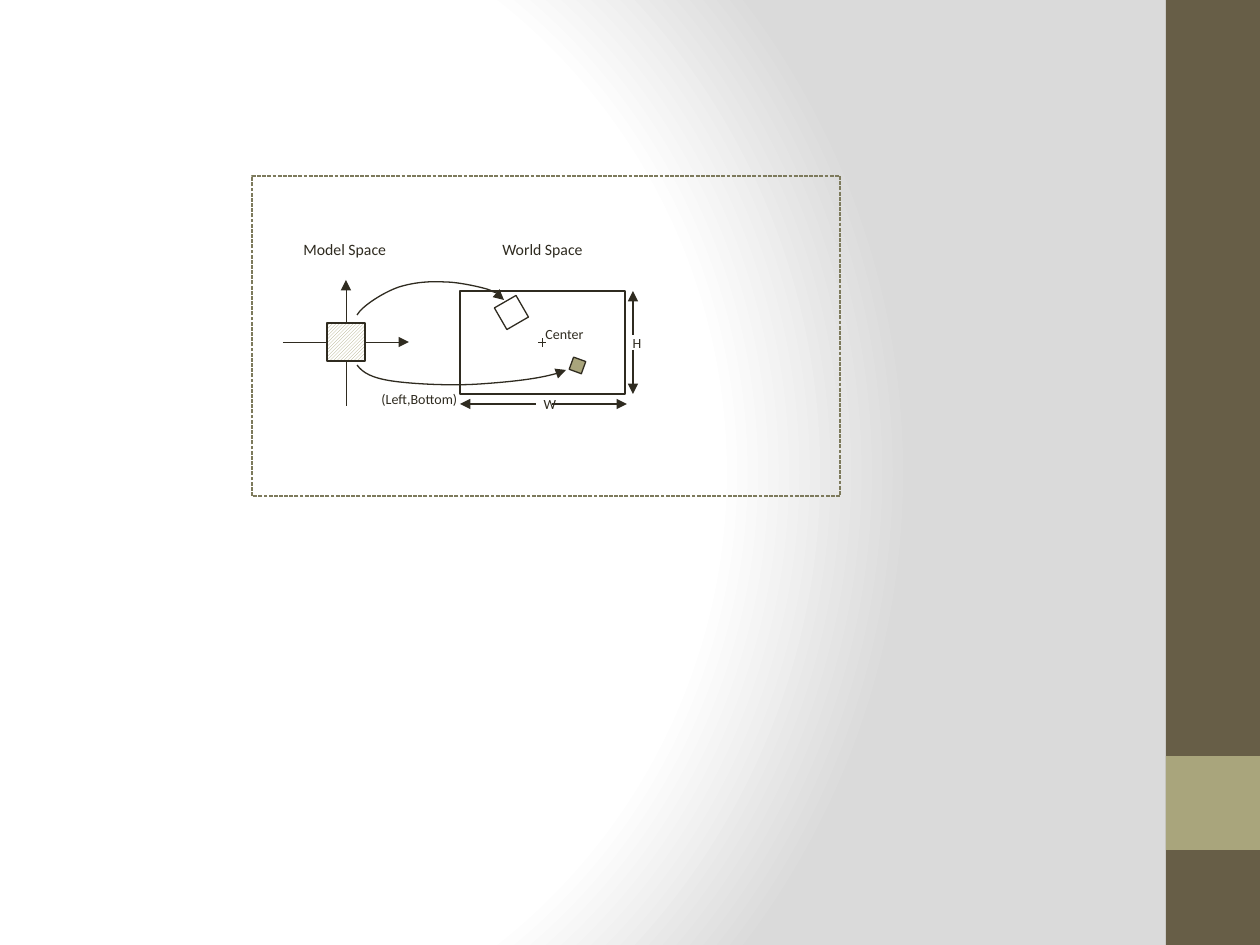
import lxml.etree
import pptx
import pptx.dml.color
import pptx.enum.dml
import pptx.enum.shapes
import pptx.enum.text
import pptx.oxml.ns
import pptx.util

PX = 914400 / 126
COLORS = {
    "ink": "2F2B20",
    "brown": "675E47",
    "olive": "A9A57C",
    "frame": "7D7A5C",
    "white": "FFFFFF",
    "gray": "DADADA",
}
qn = pptx.oxml.ns.qn


def px(value):
    return pptx.util.Emu(round(value * PX))


def color(name):
    return pptx.dml.color.RGBColor.from_string(COLORS[name])


def add_child(parent, tag, **attributes):
    return lxml.etree.SubElement(parent, qn(tag), attributes)


def set_line(shape, line="ink", width=0.75, arrow=False):
    shape.line.color.rgb = color(line)
    shape.line.width = pptx.util.Pt(width)
    if arrow:
        add_child(shape.element.spPr.find(qn("a:ln")), "a:tailEnd", type="triangle")


def add_rectangle(slide, box, fill=None, line="ink", rotation=0):
    shape = slide.shapes.add_shape(
        pptx.enum.shapes.MSO_SHAPE.RECTANGLE, *map(px, box))
    shape.shadow.inherit = False
    shape.rotation = rotation
    if fill:
        shape.fill.solid()
        shape.fill.fore_color.rgb = color(fill)
    else:
        shape.fill.background()
    if line:
        set_line(shape, line)
    else:
        shape.line.fill.background()
    return shape


def add_line(shapes, start, end, width=0.75, arrow=True):
    connector = shapes.add_connector(
        pptx.enum.shapes.MSO_CONNECTOR.STRAIGHT, *map(px, (*start, *end)))
    set_line(connector, width=width, arrow=arrow)
    add_child(connector.element.spPr, "a:effectLst")


def add_label(slide, text, box, size=8, centered=False):
    frame = slide.shapes.add_textbox(*map(px, box)).text_frame
    frame.word_wrap = True
    frame.auto_size = pptx.enum.text.MSO_AUTO_SIZE.SHAPE_TO_FIT_TEXT
    paragraph = frame.paragraphs[0]
    if centered:
        paragraph.alignment = pptx.enum.text.PP_ALIGN.CENTER
    run = paragraph.add_run()
    run.text = text
    run.font.name = "Calibri"
    run.font.size = pptx.util.Pt(size)
    run.font.color.rgb = color("ink")


def add_curve(slide, left, top, points):
    points = [(left + x, top + y) for x, y in points]
    builder = slide.shapes.build_freeform(*points[0], scale=PX)
    builder.add_line_segments(points[1:], close=False)
    shape = builder.convert_to_shape()
    segments = list(shape.element.iter(qn("a:lnTo")))
    for index in range(0, len(segments), 3):
        bezier = lxml.etree.Element(qn("a:cubicBezTo"))
        segments[index].addprevious(bezier)
        for segment in segments[index:index + 3]:
            bezier.append(segment[0])
            segment.getparent().remove(segment)
    shape.shadow.inherit = False
    shape.fill.background()
    set_line(shape, arrow=True)


def add_background(slide):
    slide.background.fill.gradient()
    gradient = slide.element.find(".//" + qn("a:gradFill"))
    for child in list(gradient):
        gradient.remove(child)
    stops = add_child(gradient, "a:gsLst")
    for position, name in ((0, "white"), (75, "white"), (100, "gray")):
        stop = add_child(stops, "a:gs", pos=str(position * 1000))
        add_child(stop, "a:srgbClr", val=COLORS[name])
    circle = add_child(gradient, "a:path", path="circle")
    add_child(circle, "a:fillToRect", l="20000", t="50000", r="100000", b="50000")


def add_sidebar(slide, left, top, width, height):
    add_rectangle(slide, (left, top, width, height), "brown", None)
    add_rectangle(slide, (left, top + 756, width, width), "olive", None)


def add_frame(slide, *box):
    frame = add_rectangle(slide, box, line="frame")
    frame.line.dash_style = pptx.enum.dml.MSO_LINE.SQUARE_DOT


def add_world_space(slide, left, top, width, height):
    right, bottom = left + width, top + height
    center_x, center_y = left + width / 2, top + height / 2
    add_label(slide, "World Space", (left + 30, top - 57, 116, 32), 9)
    add_rectangle(slide, (left, top, width, height))
    cross = slide.shapes.add_group_shape().shapes
    for dx, dy in ((4, 0), (0, 4)):
        add_line(cross, (center_x - dx, center_y - dy),
                 (center_x + dx, center_y + dy), 0.5, False)
    add_rectangle(slide, (left + 39, top + 9, 25, 25), rotation=-30)
    add_rectangle(slide, (left + 111, top + 68, 13, 13), "olive", rotation=20)
    add_label(slide, "Center", (left + 73, top + 28, 66, 30))
    add_label(slide, "(Left,Bottom)", (left - 91, top + 93, 108, 30))
    height_x, width_y = right + 8, bottom + 10
    add_line(slide.shapes, (height_x, top + 59), (height_x, bottom))
    add_line(slide.shapes, (height_x, top + 44), (height_x, top))
    add_label(slide, "H", (height_x - 12, top + 37, 24, 30), centered=True)
    add_line(slide.shapes, (left + 92, width_y), (right + 2, width_y))
    add_line(slide.shapes, (left + 76, width_y), (left, width_y))
    add_label(slide, "W", (left + 72, width_y - 15, 24, 30), centered=True)


def add_model_space(slide, left, top, width, height):
    center_x, center_y = left + width // 2, top + height // 2 - 1
    axes = slide.shapes.add_group_shape().shapes
    add_line(axes, (center_x, top + height), (center_x, top), 0.5)
    add_line(axes, (left, center_y), (left + width, center_y), 0.5)
    square = add_rectangle(slide, (center_x - 19, center_y - 19, 38, 38))
    square.fill.patterned()
    square.fill.pattern = pptx.enum.dml.MSO_PATTERN.DARK_UPWARD_DIAGONAL
    square.fill.fore_color.rgb = color("olive")
    square.fill.back_color.rgb = color("white")
    add_label(slide, "Model Space", (left + 8, top - 46, 117, 32), 9)


def add_mappings(slide, left, top):
    add_curve(slide, left, top, [
        (0, 34), (5, 25), (27, 11), (42, 6), (58, 1), (74, 0), (89, 1),
        (104, 1), (137, 9), (134, 10), (143, 13), (146, 18), (147, 19)])
    add_curve(slide, left, top, [
        (0, 84), (6, 92), (15, 97), (35, 100), (55, 103), (94, 105), (123, 103),
        (152, 101), (192, 97), (209, 89)])


def main():
    presentation = pptx.Presentation()
    presentation.slide_width = px(1260)
    presentation.slide_height = px(945)
    slide = presentation.slides.add_slide(presentation.slide_layouts[6])
    add_background(slide)
    add_sidebar(slide, 1166, 0, 94, 945)
    add_frame(slide, 252, 176, 588, 320)
    add_world_space(slide, 460, 291, 165, 103)
    add_model_space(slide, 283, 280, 126, 126)
    add_mappings(slide, 357, 281)
    presentation.save("out.pptx")


if __name__ == "__main__":
    main()
